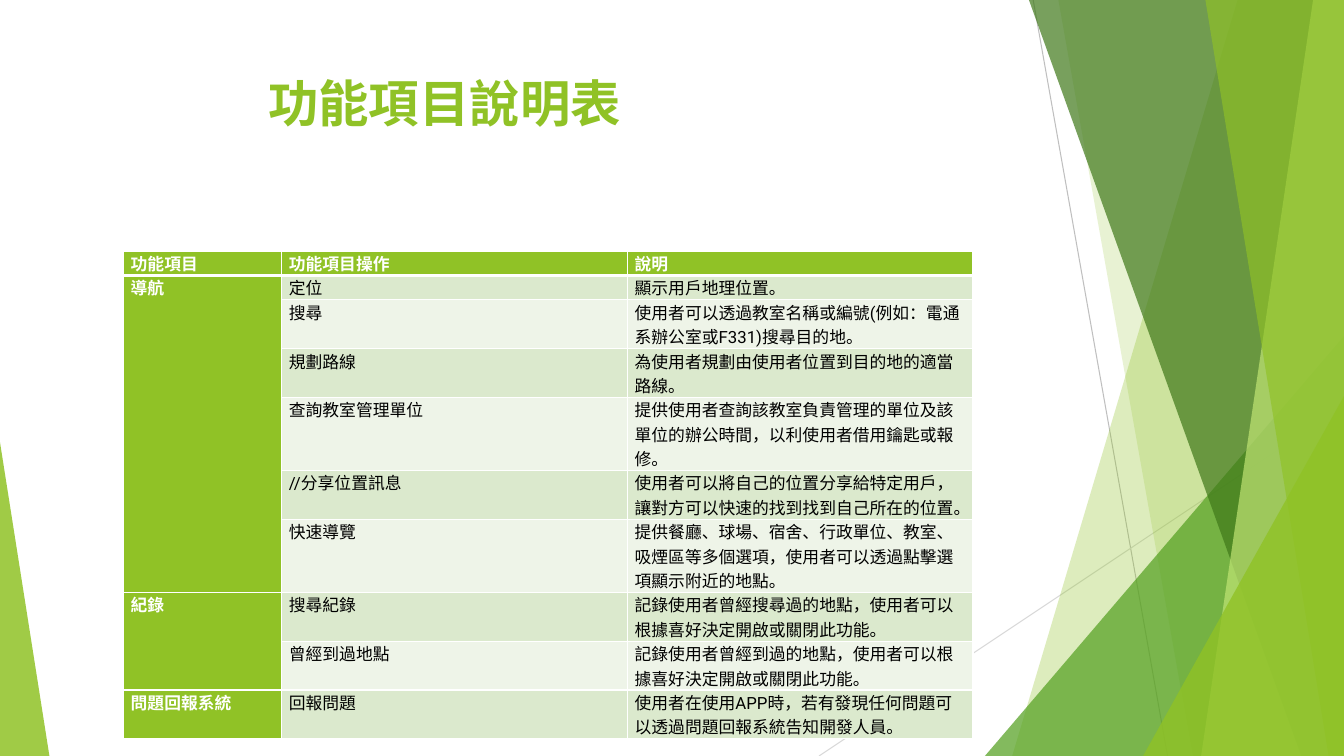
from lxml import etree
from pptx import Presentation
from pptx.dml.color import RGBColor
from pptx.enum import shapes, text
from pptx.oxml import ns
from pptx.util import Pt

GREEN = RGBColor(0x90, 0xC2, 0x26)
LEAF = RGBColor(0x54, 0xA0, 0x21)
FOREST = RGBColor(0x3F, 0x78, 0x19)
LIME = RGBColor(0xC0, 0xE4, 0x74)
PALE_GREEN = RGBColor(0xDB, 0xE9, 0xCD)
PALER_GREEN = RGBColor(0xEE, 0xF4, 0xE8)
GREY = RGBColor(0xBF, 0xBF, 0xBF)
LIGHT_GREY = RGBColor(0xD9, 0xD9, 0xD9)
WHITE = RGBColor(0xFF, 0xFF, 0xFF)
BLACK = RGBColor(0, 0, 0)
FONT = "Roboto"
LINE_HEIGHT = 17.38

HEADINGS = ("功能項目", "功能項目操作", "說明")
FEATURES = {
    "導航": [
        ("定位", "顯示用戶地理位置。", 1),
        ("搜尋", "使用者可以透過教室名稱或編號(例如：電通系辦公室或F331)搜尋目的地。", 2),
        ("規劃路線", "為使用者規劃由使用者位置到目的地的適當路線。", 2),
        ("查詢教室管理單位",
         "提供使用者查詢該教室負責管理的單位及該單位的辦公時間，以利使用者借用鑰匙或報修。", 3),
        ("//分享位置訊息",
         "使用者可以將自己的位置分享給特定用戶，讓對方可以快速的找到找到自己所在的位置。", 2),
        ("快速導覽",
         "提供餐廳、球場、宿舍、行政單位、教室、吸煙區等多個選項，使用者可以透過點擊選項顯示附近的地點。", 3),
    ],
    "紀錄": [
        ("搜尋紀錄", "記錄使用者曾經搜尋過的地點，使用者可以根據喜好決定開啟或關閉此功能。", 2),
        ("曾經到過地點", "記錄使用者曾經到過的地點，使用者可以根據喜好決定開啟或關閉此功能。", 2),
    ],
    "問題回報系統": [
        ("回報問題", "使用者在使用APP時，若有發現任何問題可以透過問題回報系統告知開發人員。", 2),
    ],
}


def paint(shape, color, opacity):
    shape.shadow.inherit = False
    shape.line.fill.background()
    shape.fill.solid()
    shape.fill.fore_color.rgb = color
    fill_color = shape.fill._xPr.find(".//" + ns.qn("a:srgbClr"))
    etree.SubElement(fill_color, ns.qn("a:alpha"), val=str(opacity * 1000))


def add_line(slide, start, end, color):
    line = slide.shapes.add_connector(
        shapes.MSO_CONNECTOR.STRAIGHT, *(Pt(value) for value in start + end))
    line.line.color.rgb = color
    line.line.width = Pt(0.75)
    etree.SubElement(line._element.spPr, ns.qn("a:effectLst"))


def add_band(slide, box, top_x, bottom_x, color, opacity):
    left, top, width, height = box
    right, bottom = left + width, top + height
    corners = [(left + top_x, top), (right, top), (right, bottom), (left + bottom_x, bottom)]
    points = [(Pt(x), Pt(y)) for x, y in corners]
    builder = slide.shapes.build_freeform(*points[0])
    builder.add_line_segments(points[1:])
    paint(builder.convert_to_shape(), color, opacity)


def add_triangle(slide, box, apex, color, opacity):
    triangle = slide.shapes.add_shape(
        shapes.MSO_SHAPE.ISOSCELES_TRIANGLE, *(Pt(value) for value in box))
    triangle.adjustments[0] = apex
    paint(triangle, color, opacity)


def add_corner_triangle(slide, box, width, height, color, opacity):
    right, bottom = box[0] + box[2], box[1] + box[3]
    add_triangle(slide, (right - width, bottom - height, width, height), 1, color, opacity)


def add_facets(slide, box):
    left, top, width, height = box
    right, bottom = left + width, top + height
    add_line(slide, (left + 38, top), (left + 134, bottom), GREY)
    add_line(slide, (right, top + 290), (left - 115, bottom), LIGHT_GREY)
    add_band(slide, box, 184, 23, GREEN, 30)
    add_band(slide, box, 56, 152, GREEN, 20)
    add_corner_triangle(slide, box, 256.5, 300, LEAF, 72)
    add_band(slide, box, 35, 229.5, FOREST, 70)
    add_band(slide, box, 238, 158, LIME, 70)
    add_band(slide, box, 161, 249, GREEN, 65)
    add_corner_triangle(slide, box, 143.5, 257, GREEN, 80)


def add_title(slide, box):
    title = slide.shapes.title
    title.left, title.top, title.width, title.height = (Pt(value) for value in box)
    frame = title.text_frame
    frame.text = "功能項目說明表"
    frame.word_wrap = True
    frame.auto_size = text.MSO_AUTO_SIZE.NONE
    frame.vertical_anchor = text.MSO_ANCHOR.TOP
    paragraph = frame.paragraphs[0]
    paragraph.alignment = text.PP_ALIGN.LEFT
    paragraph._p.get_or_add_pPr().set("marL", str(Pt(131)))
    format_run(paragraph.runs[0], 36, GREEN, True)


def format_run(run, size, color, bold):
    run.font.name = FONT
    run.font.size = Pt(size)
    run.font.bold = bold
    run.font.color.rgb = color


def add_borders(cell, bottom_width):
    properties = cell._tc.get_or_add_tcPr()
    for side, width in (("L", 1), ("R", 1), ("T", 1), ("B", bottom_width)):
        border = etree.SubElement(properties, ns.qn("a:ln" + side), w=str(Pt(width)))
        fill = etree.SubElement(border, ns.qn("a:solidFill"))
        etree.SubElement(fill, ns.qn("a:srgbClr"), val=str(WHITE))


def fill_cell(cell, wording, fill, color, bold, bottom_width=1):
    add_borders(cell, bottom_width)
    cell.fill.solid()
    cell.fill.fore_color.rgb = fill
    cell.margin_left = cell.margin_right = Pt(5.4)
    cell.margin_top = cell.margin_bottom = 0
    cell.text_frame.text = wording
    for run in cell.text_frame.paragraphs[0].runs:
        format_run(run, 12, color, bold)


def add_feature_table(slide, box):
    left, top, width, name_width = box
    line_counts = [1] + [row[2] for rows in FEATURES.values() for row in rows]
    height = LINE_HEIGHT * sum(line_counts)
    table = slide.shapes.add_table(
        len(line_counts), 3, Pt(left), Pt(top), Pt(width), Pt(height)).table
    detail_width = (width - name_width) / 2
    for column, column_width in zip(table.columns, (name_width, detail_width, detail_width)):
        column.width = Pt(column_width)
    for row, count in zip(table.rows, line_counts):
        row.height = Pt(LINE_HEIGHT * count)
    for index, heading in enumerate(HEADINGS):
        fill_cell(table.cell(0, index), heading, GREEN, WHITE, True, 3)
    row_index = 1
    for feature, rows in FEATURES.items():
        first = row_index
        for operation, description, _ in rows:
            fill = PALE_GREEN if row_index % 2 else PALER_GREEN
            name = feature if row_index == first else ""
            fill_cell(table.cell(row_index, 0), name, GREEN, WHITE, True)
            fill_cell(table.cell(row_index, 1), operation, fill, BLACK, False)
            fill_cell(table.cell(row_index, 2), description, fill, BLACK, False)
            row_index += 1
        if len(rows) > 1:
            table.cell(first, 0).merge(table.cell(row_index - 1, 0))


def main():
    presentation = Presentation()
    presentation.slide_width = Pt(960)
    presentation.slide_height = Pt(540)
    slide = presentation.slides.add_slide(presentation.slide_layouts[5])
    add_facets(slide, (700, 0, 260, 540))
    add_triangle(slide, (0, 316, 35.3, 224), 0, GREEN, 85)
    add_title(slide, (53.3, 48, 677, 104))
    add_feature_table(slide, (88, 179.3, 607, 113))
    presentation.save("out.pptx")


if __name__ == "__main__":
    main()
